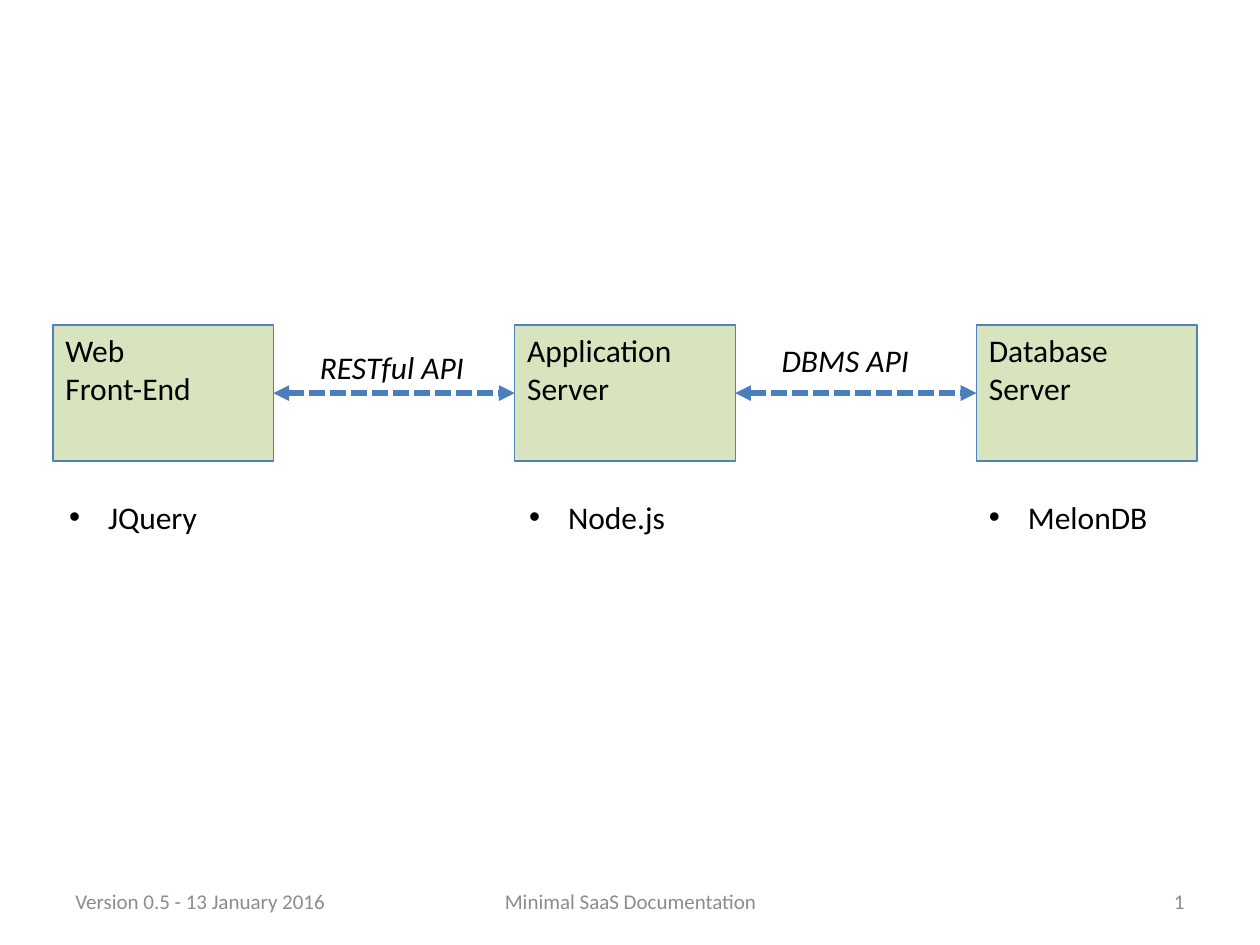
from lxml import etree
from pptx import Presentation
from pptx.dml.color import RGBColor
from pptx.enum import dml, shapes, text
from pptx.oxml.ns import qn
from pptx.util import Inches, Pt

# Content: tiers as (lines, technology, bullet left, bullet width)
TIERS = [
    (["Web", "Front-End"], "JQuery", 0.45, 1.23),
    (["Application", "Server"], "Node.js", 4.1, 1.29),
    (["Database", "Server"], "MelonDB", 7.75, 1.54),
]
# Links between neighbouring tiers as (label, top, width)
LINKS = [("RESTful API", 2.71, 1.36), ("DBMS API", 2.66, 1.22)]
# Footer as (text, left, width, alignment)
FOOTER = [
    ("Version 0.5 - 13 January 2016", 0.5, 2.33, text.PP_ALIGN.LEFT),
    ("Minimal SaaS Documentation", 3.42, 3.17, text.PP_ALIGN.CENTER),
    ("1", 7.17, 2.33, text.PP_ALIGN.RIGHT),
]

COLORS = {"box": "D7E4BD", "outline": "4F81BD", "arrow": "4B7EBC",
          "text": "000000", "footer": "8C8C8C"}
FONT = "Calibri"
BOX_LEFT, BOX_TOP, BOX_WIDTH, BOX_HEIGHT = 0.42, 2.58, 1.75, 1.08
BOX_STEP = 3.665
LABEL_OFFSET = 0.27
TEXT_HEIGHT = 0.4
BULLET_TOP, FOOTER_TOP = 3.9, 6.95
BULLET_INDENT = 0.31


def rgb(name):
    return RGBColor.from_string(COLORS[name])


def write(shape, lines, size=18, color="text", italic=False, bullet=False,
          align=text.PP_ALIGN.LEFT, anchor=text.MSO_ANCHOR.TOP, wrap=True):
    frame = shape.text_frame
    frame.word_wrap = wrap
    frame.vertical_anchor = anchor
    frame.text = "\n".join(lines)
    for paragraph in frame.paragraphs:
        paragraph.alignment = align
        font = paragraph.runs[0].font
        font.name, font.size, font.italic = FONT, Pt(size), italic
        font.color.rgb = rgb(color)
        if bullet:
            properties = paragraph._p.get_or_add_pPr()
            properties.set("marL", str(Inches(BULLET_INDENT)))
            properties.set("indent", str(-Inches(BULLET_INDENT)))
            etree.SubElement(properties, qn("a:buFont"), typeface="Arial")
            etree.SubElement(properties, qn("a:buChar"), char="•")


def add_text(slide, line, left, top, width, **style):
    box = slide.shapes.add_textbox(Inches(left), Inches(top),
                                   Inches(width), Inches(TEXT_HEIGHT))
    write(box, [line], **style)


def add_tier(slide, lines, left):
    box = slide.shapes.add_shape(
        shapes.MSO_SHAPE.RECTANGLE, Inches(left), Inches(BOX_TOP),
        Inches(BOX_WIDTH), Inches(BOX_HEIGHT))
    box.shadow.inherit = False
    box.fill.solid()
    box.fill.fore_color.rgb = rgb("box")
    box.line.color.rgb = rgb("outline")
    box.line.width = Pt(0.75)
    write(box, lines)


def add_arrow(slide, start, end):
    middle = Inches(BOX_TOP + BOX_HEIGHT / 2)
    arrow = slide.shapes.add_connector(
        shapes.MSO_CONNECTOR.STRAIGHT, Inches(start), middle, Inches(end), middle)
    arrow.line.color.rgb = rgb("arrow")
    arrow.line.width = Pt(3)
    # SQUARE_DOT is the sysDash preset
    arrow.line.dash_style = dml.MSO_LINE.SQUARE_DOT
    outline = arrow.line._get_or_add_ln()
    for tag in ("a:headEnd", "a:tailEnd"):
        etree.SubElement(outline, qn(tag), type="triangle")
    etree.SubElement(arrow._element.spPr, qn("a:effectLst"))


def main():
    presentation = Presentation()
    presentation.slide_width, presentation.slide_height = Inches(10), Inches(7.5)
    slide = presentation.slides.add_slide(presentation.slide_layouts[6])
    lefts = [BOX_LEFT + index * BOX_STEP for index in range(len(TIERS))]

    # Tier boxes
    for (lines, *_), left in zip(TIERS, lefts):
        add_tier(slide, lines, left)

    # Arrows and their labels
    for (label, top, width), left, next_left in zip(LINKS, lefts, lefts[1:]):
        start = left + BOX_WIDTH
        add_arrow(slide, start, next_left)
        add_text(slide, label, start + LABEL_OFFSET, top, width,
                 italic=True, wrap=False)

    # Technologies under the boxes
    for _, technology, left, width in TIERS:
        add_text(slide, technology, left, BULLET_TOP, width,
                 bullet=True, wrap=False)

    # Footer
    for line, left, width, align in FOOTER:
        add_text(slide, line, left, FOOTER_TOP, width, size=12, color="footer",
                 align=align, anchor=text.MSO_ANCHOR.MIDDLE)

    presentation.save("out.pptx")


if __name__ == "__main__":
    main()
